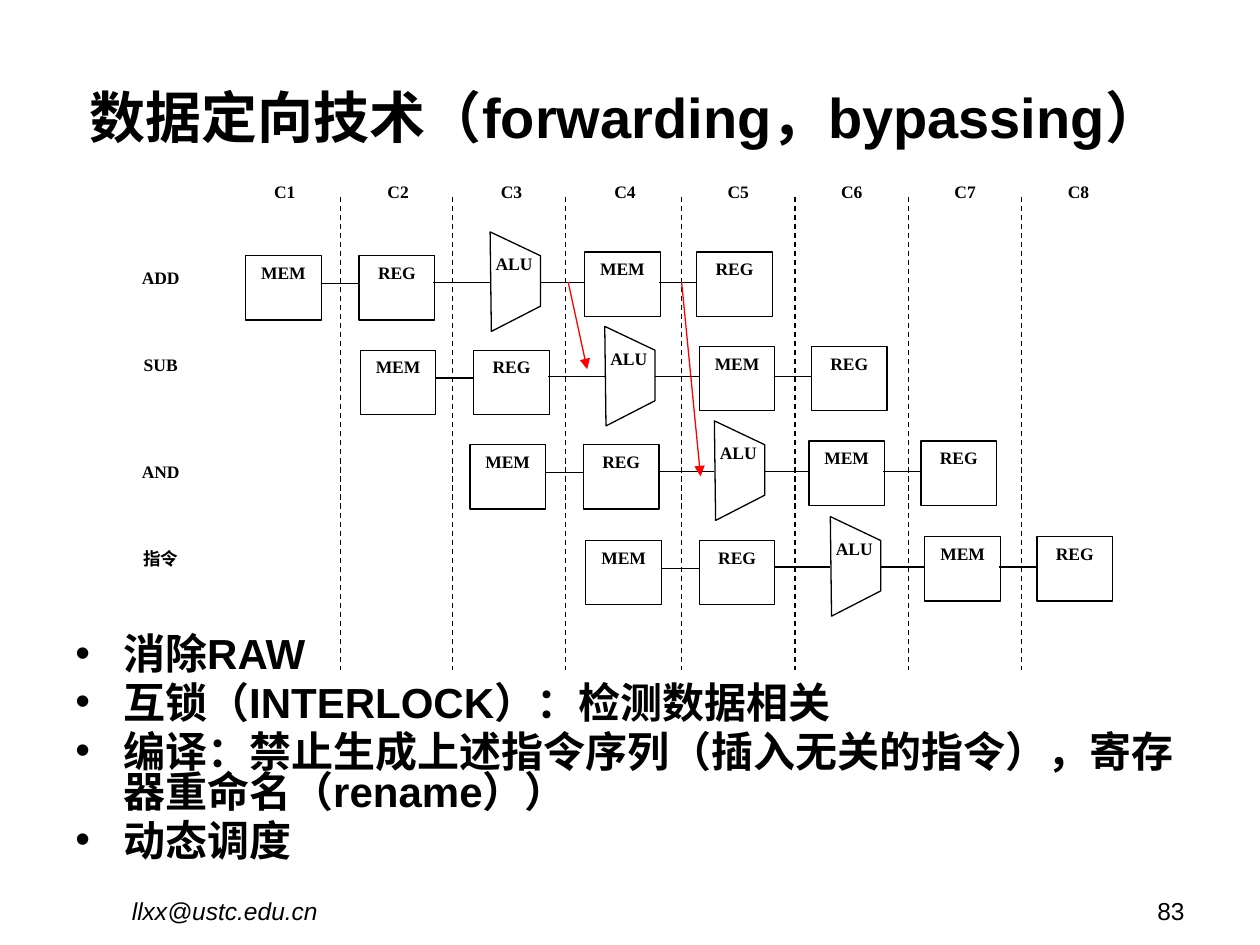
from pptx import Presentation
from pptx.dml.color import RGBColor
from pptx.enum.dml import MSO_LINE
from pptx.enum.shapes import MSO_CONNECTOR, MSO_SHAPE
from pptx.enum.text import MSO_ANCHOR, PP_ALIGN
from pptx.oxml.ns import qn
from pptx.util import Inches, Pt
from lxml.etree import SubElement

BLACK = RGBColor(0, 0, 0)
WHITE = RGBColor(255, 255, 255)
RED = RGBColor(255, 0, 0)

BOX_WIDTH = 0.6
BOX_HEIGHT = 0.51
COLUMN_STEP = 0.9
DIVIDERS = (2.7, 3.59, 4.49, 5.41, 6.31, 7.21, 8.11)
INSTRUCTIONS = (
    ("ADD", 2.07, 1.95, 2.0),
    ("SUB", 2.76, 2.86, 2.75),
    ("AND", 3.61, 3.73, 3.5),
    ("指令", 4.3, 4.65, 4.26),
)
STAGES = (("MEM", 0, 0.03), ("REG", 0.9, 0.03), ("MEM", 2.69, 0), ("REG", 3.58, 0))
LINKS = ((0.6, 0.9, 0.25), (1.49, 1.94, 0.24), (2.34, 2.69, 0.24), (3.28, 3.58, 0.24))
ALU_OUTLINE = ((1.95, 0.63), (2.34, 0.43), (2.34, 0.03), (1.94, -0.16))
FORWARDS = ((4.51, 2.24, 4.66, 2.93), (5.41, 2.24, 5.56, 3.78))
BULLETS = (
    "消除RAW",
    "互锁（INTERLOCK）：检测数据相关",
    "编译：禁止生成上述指令序列（插入无关的指令），寄存器重命名（rename））",
    "动态调度",
)


def set_font(paragraph, size, name="Arial", bold=False, italic=False):
    font = paragraph.font
    font.name = name
    font.size = Pt(size)
    font.bold = bold
    font.italic = italic
    font.color.rgb = BLACK


def write_label(shape, text):
    shape.text_frame.word_wrap = True
    shape.text_frame.vertical_anchor = MSO_ANCHOR.TOP
    paragraph = shape.text_frame.paragraphs[0]
    paragraph.text = text
    paragraph.alignment = PP_ALIGN.CENTER
    set_font(paragraph, 10, "Times New Roman", bold=True)


def add_text_box(page, left, top, width, height):
    box = page.shapes.add_textbox(Inches(left), Inches(top), Inches(width), Inches(height))
    box.text_frame.word_wrap = True
    return box


def add_label(page, text, left, top, width=BOX_WIDTH):
    write_label(add_text_box(page, left, top, width, BOX_HEIGHT), text)


def add_line(page, x1, y1, x2, y2, color=BLACK, dashed=False, arrow=False):
    line = page.shapes.add_connector(
        MSO_CONNECTOR.STRAIGHT, Inches(x1), Inches(y1), Inches(x2), Inches(y2)
    )
    line.line.color.rgb = color
    line.line.width = Pt(0.75)
    if dashed:
        line.line.dash_style = MSO_LINE.DASH
    if arrow:
        SubElement(line.line._get_or_add_ln(), qn("a:tailEnd"), type="triangle")
    SubElement(line._element.spPr, qn("a:effectLst"))


def outline_shape(shape):
    shape.shadow.inherit = False
    shape.fill.solid()
    shape.fill.fore_color.rgb = WHITE
    shape.line.color.rgb = BLACK
    shape.line.width = Pt(0.75)


def add_stage(page, text, left, top):
    stage = page.shapes.add_shape(
        MSO_SHAPE.RECTANGLE, Inches(left), Inches(top), Inches(BOX_WIDTH), Inches(BOX_HEIGHT)
    )
    outline_shape(stage)
    write_label(stage, text)


def add_alu(page, left, top):
    points = [(Inches(left + x), Inches(top + y)) for x, y in ALU_OUTLINE]
    builder = page.shapes.build_freeform(*points[0])
    builder.add_line_segments(points[1:], close=True)
    outline_shape(builder.convert_to_shape())
    add_label(page, "ALU", left + 1.83, top - 0.04)


def add_pipeline(page, left, top):
    for text, x, y in STAGES:
        add_stage(page, text, left + x, top + y)
    add_alu(page, left, top)
    for start, end, y in LINKS:
        add_line(page, left + start, top + y, left + end, top + y)


def add_title(page):
    title = page.shapes.title
    title.left, title.top = Inches(0.2), Inches(0.3)
    title.width, title.height = Inches(9.53), Inches(1.25)
    title.text_frame.vertical_anchor = MSO_ANCHOR.MIDDLE
    paragraph = title.text_frame.paragraphs[0]
    paragraph.text = "数据定向技术（forwarding，bypassing）"
    paragraph.alignment = PP_ALIGN.CENTER
    set_font(paragraph, 32, bold=True)


def add_bullets(page):
    frame = add_text_box(page, 0.5, 5.01, 9, 1.97).text_frame
    for index, text in enumerate(BULLETS):
        paragraph = frame.add_paragraph() if index else frame.paragraphs[0]
        paragraph.text = text
        paragraph.line_spacing = 0.8
        if index:
            paragraph.space_before = Pt(4.8)
        properties = paragraph._p.get_or_add_pPr()
        properties.set("marL", str(Inches(0.38)))
        properties.set("indent", str(-Inches(0.38)))
        SubElement(properties, qn("a:buFont"), typeface="Arial")
        SubElement(properties, qn("a:buChar"), char="•")
        set_font(paragraph, 24, bold=True)


def add_footer(page, text, left, width, alignment, italic=False):
    paragraph = add_text_box(page, left, 7.06, width, 0.29).text_frame.paragraphs[0]
    paragraph.text = text
    paragraph.alignment = alignment
    set_font(paragraph, 14, italic=italic)


def main():
    deck = Presentation()
    deck.slide_width, deck.slide_height = Inches(10), Inches(7.5)
    page = deck.slides.add_slide(deck.slide_layouts[5])
    add_title(page)
    add_bullets(page)
    for x in DIVIDERS:
        add_line(page, x, 1.56, x, 5.32, dashed=True)
    for cycle in range(8):
        add_label(page, f"C{cycle + 1}", 1.96 + cycle * COLUMN_STEP, 1.39)
    for name, label_top, left, top in INSTRUCTIONS:
        add_label(page, name, 0.9, label_top, 0.75)
        add_pipeline(page, left, top)
    for ends in FORWARDS:
        add_line(page, *ends, color=RED, arrow=True)
    add_footer(page, "llxx@ustc.edu.cn", 0.2, 3.17, PP_ALIGN.CENTER, italic=True)
    add_footer(page, "83", 7.17, 2.33, PP_ALIGN.RIGHT)
    deck.save("out.pptx")


if __name__ == "__main__":
    main()
